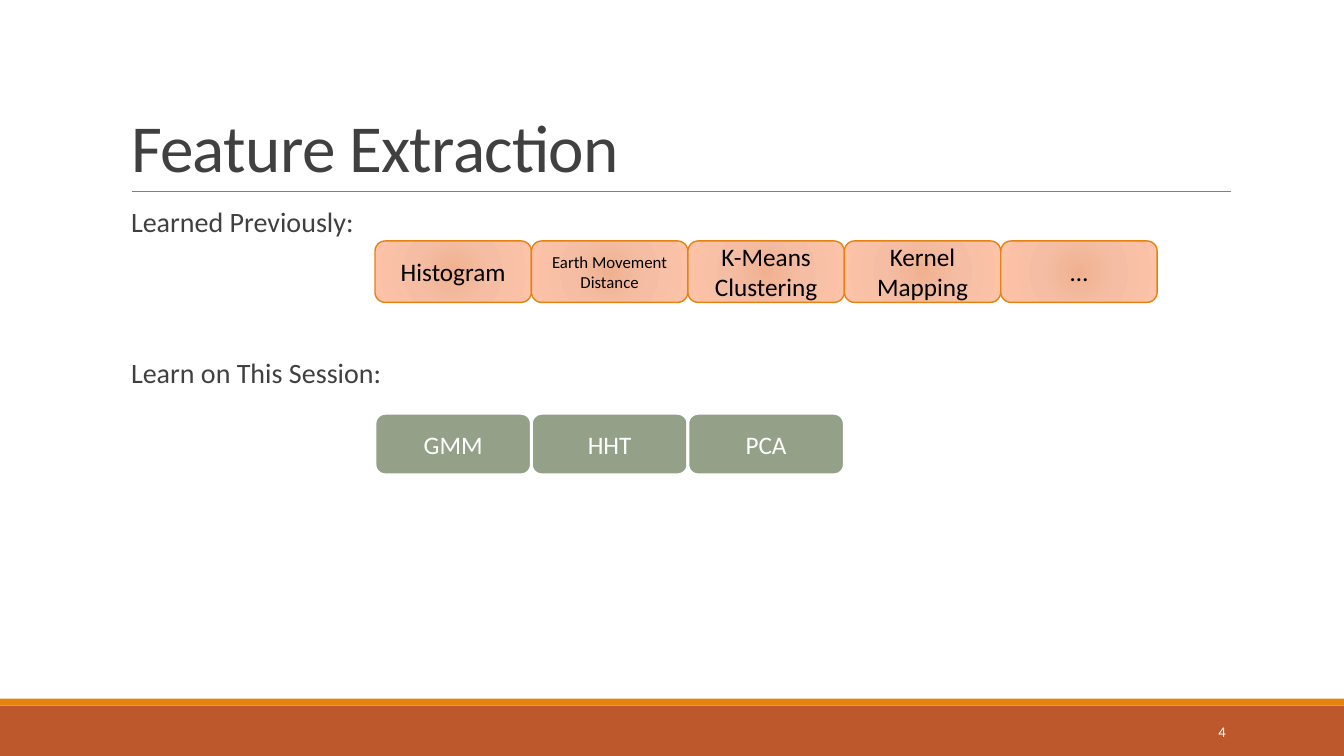
"""Builds the Feature Extraction slide."""
import dataclasses

import pptx
import pptx.dml.color
import pptx.enum.shapes
import pptx.enum.text
import pptx.oxml
import pptx.oxml.ns
import pptx.util

ALIGN = pptx.enum.text.PP_ALIGN
ANCHOR = pptx.enum.text.MSO_ANCHOR
SHAPE = pptx.enum.shapes.MSO_SHAPE


@dataclasses.dataclass(frozen=True)
class Theme:
    """Colours, font and type sizes of the slide."""
    font: str = "Calibri"
    ink: str = "404040"
    black: str = "000000"
    white: str = "FFFFFF"
    rule: str = "808080"
    orange: str = "E48312"
    rust: str = "BD582C"
    sage: str = "94A088"
    peach: tuple = ((0, "F0B191"), (45, "F5BEA4"), (100, "FDC3A8"))
    title: float = 48
    body: float = 20
    label: float = 18
    small: float = 12
    number: float = 10.5


def assign(target, values):
    """Set each named format value on the target."""
    for name, value in values.items():
        setattr(target, name, value)


def rgb(colour):
    """Turn a hex string into a colour object."""
    return pptx.dml.color.RGBColor.from_string(colour)


class SlideBuilder:
    """Draws elements on one page, with lengths in percent of its size."""

    def __init__(self, deck, theme):
        """Add a title and body page to the deck."""
        self.deck, self.theme = deck, theme
        self.page = deck.slides.add_slide(deck.slide_layouts[1])

    def area(self, left, top, width, height):
        """Convert shares of the page to lengths."""
        across, down = self.deck.slide_width, self.deck.slide_height
        shares = ((left, across), (top, down), (width, across), (height, down))
        return [pptx.util.Emu(round(share * whole / 100)) for share, whole in shares]

    def place(self, box, area):
        """Move and size a box."""
        assign(box, dict(zip(("left", "top", "width", "height"), self.area(*area))))

    def set_text(self, box, lines, size, colour, frame, layout):
        """Fill a box with formatted paragraphs and return them."""
        text = box.text_frame
        text.text = "\n".join(lines)
        assign(text, {"word_wrap": True, "auto_size": pptx.enum.text.MSO_AUTO_SIZE.NONE, **frame})
        for para in text.paragraphs:
            assign(para, layout)
            for span in para.runs:
                assign(span.font, {"name": self.theme.font, "size": pptx.util.Pt(size)})
                span.font.color.rgb = rgb(colour)
        return text.paragraphs

    def title(self, words, area):
        """Format the title placeholder."""
        box = self.page.shapes.title
        self.place(box, area)
        para, = self.set_text(box, [words], self.theme.title, self.theme.ink,
                              {"vertical_anchor": ANCHOR.BOTTOM},
                              {"alignment": ALIGN.LEFT, "line_spacing": 0.85})
        para.runs[0].font._element.set("spc", "-50")

    def body(self, lines, area, gap):
        """Format the body placeholder as unbulleted headings set apart by a gap."""
        box = self.page.placeholders[1]
        self.place(box, area)
        paras = self.set_text(box, lines, self.theme.body, self.theme.ink,
                              {"vertical_anchor": ANCHOR.TOP, "margin_left": 0, "margin_right": 0},
                              {"alignment": ALIGN.LEFT, "line_spacing": 0.9,
                               "space_after": pptx.util.Pt(2)})
        for index, para in enumerate(paras):
            para.space_before = pptx.util.Pt(gap if index else 0)
            properties = para._p.get_or_add_pPr()
            properties.set("marL", str(pptx.util.Inches(0.1)))
            properties.set("indent", "0")
            properties.append(pptx.oxml.parse_xml(f'<a:buNone {pptx.oxml.ns.nsdecls("a")}/>'))

    def shape(self, kind, area, fill, line=None, width=0):
        """Add a preset shape with a plain or radial fill."""
        box = self.page.shapes.add_shape(kind, *self.area(*area))
        box.shadow.inherit = False
        if isinstance(fill, tuple):
            self.glow(box, fill)
        else:
            box.fill.solid()
            box.fill.fore_color.rgb = rgb(fill)
        if line:
            box.line.color.rgb = rgb(line)
            box.line.width = pptx.util.Pt(width)
        else:
            box.line.fill.background()
        return box

    def glow(self, box, stops):
        """Give a box a radial gradient."""
        box.fill.background()
        marks = "".join(f'<a:gs pos="{share * 1000}"><a:srgbClr val="{colour}"/></a:gs>'
                        for share, colour in stops)
        gradient = pptx.oxml.parse_xml(
            f'<a:gradFill {pptx.oxml.ns.nsdecls("a")} rotWithShape="1"><a:gsLst>{marks}</a:gsLst>'
            '<a:path path="circle"><a:fillToRect l="100000" t="100000" r="100000" b="100000"/>'
            '</a:path></a:gradFill>')
        properties = box._element.spPr
        properties.replace(properties.find(pptx.oxml.ns.qn("a:noFill")), gradient)

    def tiles(self, labels, top, fill, line, width, colour):
        """Add a row of rounded tiles that touch each other."""
        pitch = 11.64
        for column, (words, size) in enumerate(labels):
            area = (27.9 + column * pitch, top, pitch, 8.13)
            box = self.shape(SHAPE.ROUNDED_RECTANGLE, area, fill, line, width)
            self.set_text(box, [words], size, colour,
                          {"vertical_anchor": ANCHOR.MIDDLE}, {"alignment": ALIGN.CENTER})

    def rule(self, left, right, height):
        """Add a thin horizontal line."""
        start = self.area(left, height, 0, 0)[:2]
        end = self.area(right, height, 0, 0)[:2]
        line = self.page.shapes.add_connector(
            pptx.enum.shapes.MSO_CONNECTOR.STRAIGHT, *start, *end)
        line.line.color.rgb = rgb(self.theme.rule)
        line.line.width = pptx.util.Pt(0.5)
        line._element.spPr.append(
            pptx.oxml.parse_xml(f'<a:effectLst {pptx.oxml.ns.nsdecls("a")}/>'))

    def number(self, words, area):
        """Add the page number."""
        box = self.page.shapes.add_textbox(*self.area(*area))
        self.set_text(box, [words], self.theme.number, self.theme.white,
                      {"vertical_anchor": ANCHOR.MIDDLE}, {"alignment": ALIGN.RIGHT})


def main():
    """Build and save the deck."""
    deck = pptx.Presentation()
    assign(deck, {"slide_width": pptx.util.Inches(13.33), "slide_height": pptx.util.Inches(7.5)})
    theme = Theme()
    slide = SlideBuilder(deck, theme)
    slide.shape(SHAPE.RECTANGLE, (0, 93.33, 100, 6.67), theme.rust)
    slide.shape(SHAPE.RECTANGLE, (0, 92.4, 100, 0.93), theme.orange)
    slide.rule(9.83, 91.58, 25.33)
    slide.title("Feature Extraction", (9, 4.13, 82.5, 21.2))
    slide.body(["Learned Previously:", "Learn on This Session:"], (9, 26.93, 82.5, 58.67), gap=84)
    slide.number("4", (81.22, 94.13, 10.73, 5.33))
    learned = [("Histogram", theme.label), ("Earth Movement Distance", theme.small),
               ("K-Means Clustering", theme.label), ("Kernel Mapping", theme.label),
               ("…", theme.label)]
    session = [(words, theme.label) for words in ("GMM", "HHT", "PCA")]
    slide.tiles(learned, 31.87, theme.peach, theme.orange, 1, theme.black)
    slide.tiles(session, 54.67, theme.sage, theme.white, 2, theme.white)
    deck.save("out.pptx")


if __name__ == "__main__":
    main()
